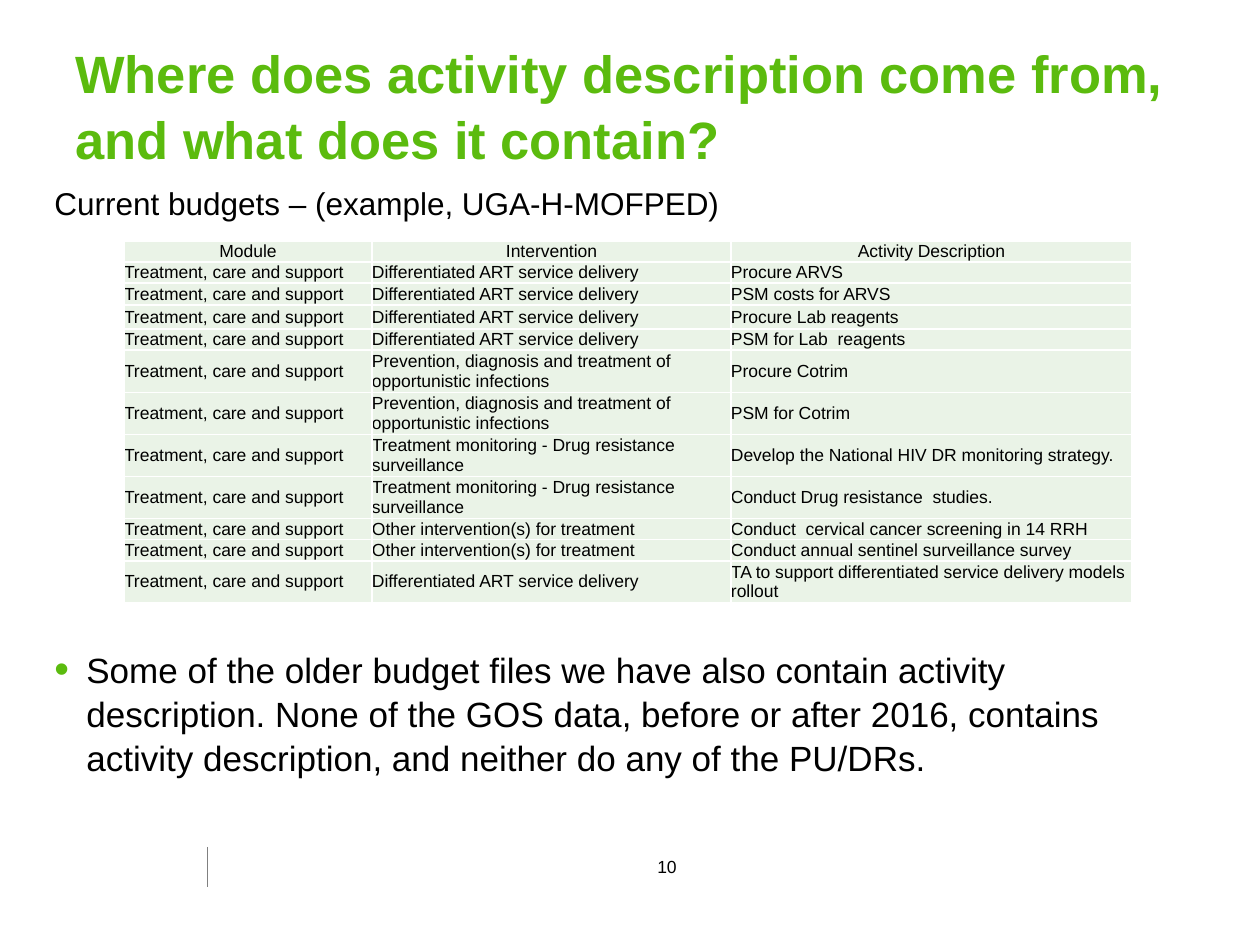
from lxml import etree
from pptx import Presentation
from pptx.dml.color import RGBColor
from pptx.enum.shapes import MSO_CONNECTOR
from pptx.enum.text import MSO_ANCHOR, PP_ALIGN
from pptx.oxml import parse_xml
from pptx.oxml.ns import nsdecls, qn
from pptx.util import Emu, Pt

STRAIGHT = MSO_CONNECTOR.STRAIGHT
MIDDLE = MSO_ANCHOR.MIDDLE
LEFT, CENTER = PP_ALIGN.LEFT, PP_ALIGN.CENTER
GREEN = RGBColor(0x5B, 0xBB, 0x0E)
BLACK = RGBColor(0, 0, 0)
GRAY = RGBColor(0x80, 0x80, 0x80)
PALE = RGBColor(0xEA, 0xF3, 0xE7)
WHITE = RGBColor(0xFF, 0xFF, 0xFF)
FONT = "Arial"

TITLE = "Where does activity description come from, and what does it contain?"
LABEL = "Current budgets – (example, UGA-H-MOFPED)"
NOTE = (
    "Some of the older budget files we have also contain activity description. "
    "None of the GOS data, before or after 2016, contains activity description, "
    "and neither do any of the PU/DRs."
)
PAGE = "10"

HEADS = ("Module", "Intervention", "Activity Description")
MODULE = "Treatment, care and support"
ART = "Differentiated ART service delivery"
PREVENT = "Prevention, diagnosis and treatment of opportunistic infections"
MONITOR = "Treatment monitoring - Drug resistance surveillance"
OTHER = "Other intervention(s) for treatment"
ITEMS = [
    (ART, "Procure ARVS", 21),
    (ART, "PSM costs for ARVS", 22),
    (ART, "Procure Lab reagents", 24),
    (ART, "PSM for Lab  reagents", 21),
    (PREVENT, "Procure Cotrim", 42),
    (PREVENT, "PSM for Cotrim", 42),
    (MONITOR, "Develop the National HIV DR monitoring strategy.", 42),
    (MONITOR, "Conduct Drug resistance  studies.", 42),
    (OTHER, "Conduct  cervical cancer screening in 14 RRH", 21),
    (OTHER, "Conduct annual sentinel surveillance survey", 21),
    (ART, "TA to support differentiated service delivery models rollout", 42),
]
ROWS = [HEADS] + [(MODULE, plan, task) for plan, task, _ in ITEMS]
HIGHS = [21] + [high for _, _, high in ITEMS]
WIDES = [248, 359, 401]


def px(count):
    return Emu(round(count * 914400 / 126))


def style(para, size, color=BLACK, bold=False, align=LEFT):
    para.alignment = align
    font = para.font
    font.name, font.size, font.bold = FONT, Pt(size), bold
    font.color.rgb = color


def add_text(slide, box, text, size, color=BLACK, bold=False, align=LEFT, wrap=True):
    frame = slide.shapes.add_textbox(*map(px, box)).text_frame
    frame.word_wrap = wrap
    para = frame.paragraphs[0]
    para.text = text
    para.line_spacing = 1.05
    style(para, size, color, bold, align)
    return para


def add_bullet(para):
    para.space_before = Pt(8)
    props = para._p.get_or_add_pPr()
    props.set("marL", str(px(32)))
    props.set("indent", str(-px(32)))
    marks = [
        f'<a:buClr {nsdecls("a")}><a:srgbClr val="{GREEN}"/></a:buClr>',
        f'<a:buSzPct {nsdecls("a")} val="120000"/>',
        f'<a:buFont {nsdecls("a")} typeface="{FONT}"/>',
        f'<a:buChar {nsdecls("a")} char="•"/>',
    ]
    spot = props.index(props.find(qn("a:defRPr")))
    for step, mark in enumerate(marks):
        props.insert(spot + step, parse_xml(mark))


def add_edges(cell):
    props = cell._tc.get_or_add_tcPr()
    for spot, side in enumerate(("lnL", "lnR", "lnT", "lnB")):
        edge = parse_xml(
            f'<a:{side} {nsdecls("a")} w="{Pt(1)}"><a:solidFill>'
            f'<a:srgbClr val="{WHITE}"/></a:solidFill></a:{side}>'
        )
        props.insert(spot, edge)


def add_grid(slide):
    box = (124, 241, sum(WIDES), sum(HIGHS))
    table = slide.shapes.add_table(len(ROWS), len(HEADS), *map(px, box)).table
    for col, wide in zip(table.columns, WIDES):
        col.width = px(wide)
    for row, high, texts in zip(table.rows, HIGHS, ROWS):
        row.height = px(high)
        for cell, text in zip(row.cells, texts):
            cell.text = text
            cell.vertical_anchor = MIDDLE
            cell.margin_left = cell.margin_right = 0
            cell.margin_top = cell.margin_bottom = 0
            cell.fill.solid()
            cell.fill.fore_color.rgb = PALE
            add_edges(cell)
            align = CENTER if texts is HEADS else LEFT
            style(cell.text_frame.paragraphs[0], 10, align=align)


def add_rule(slide):
    ends = map(px, (207, 847, 207, 887))
    rule = slide.shapes.add_connector(STRAIGHT, *ends)
    rule.line.color.rgb = GRAY
    rule.line.width = Pt(0.25)
    etree.SubElement(rule._element.spPr, qn("a:effectLst"))


def main():
    deck = Presentation()
    deck.slide_width, deck.slide_height = px(1260), px(945)
    slide = deck.slides.add_slide(deck.slide_layouts[6])
    add_rule(slide)
    add_text(slide, (63, 32, 1129, 140), TITLE, 30, GREEN, bold=True)
    add_text(slide, (644, 849, 46, 34), PAGE, 10, align=CENTER, wrap=False)
    add_text(slide, (42, 176, 706, 50), LABEL, 18, wrap=False)
    add_grid(slide)
    add_bullet(add_text(slide, (42, 640, 1134, 184), NOTE, 20))
    deck.save("out.pptx")


if __name__ == "__main__":
    main()
